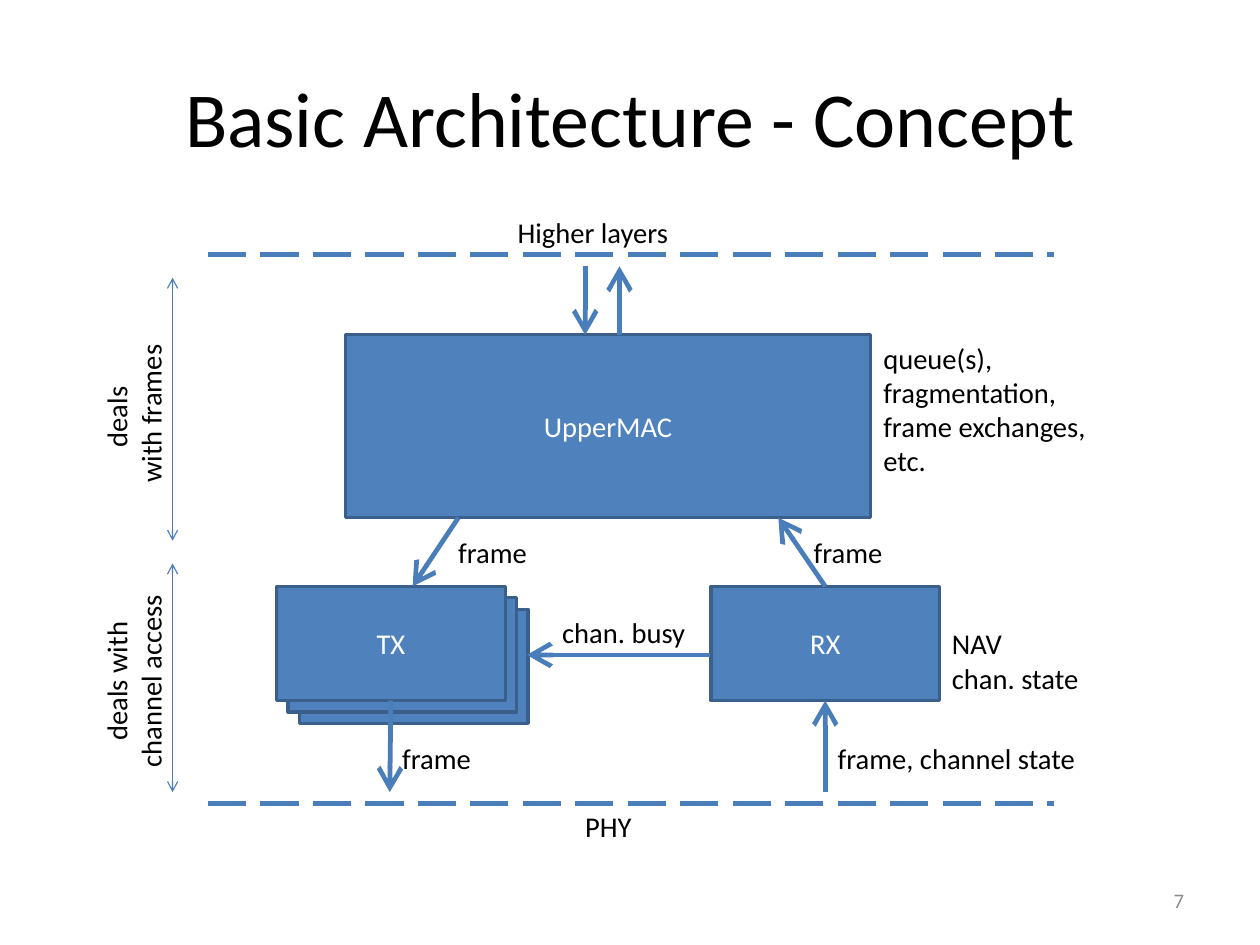
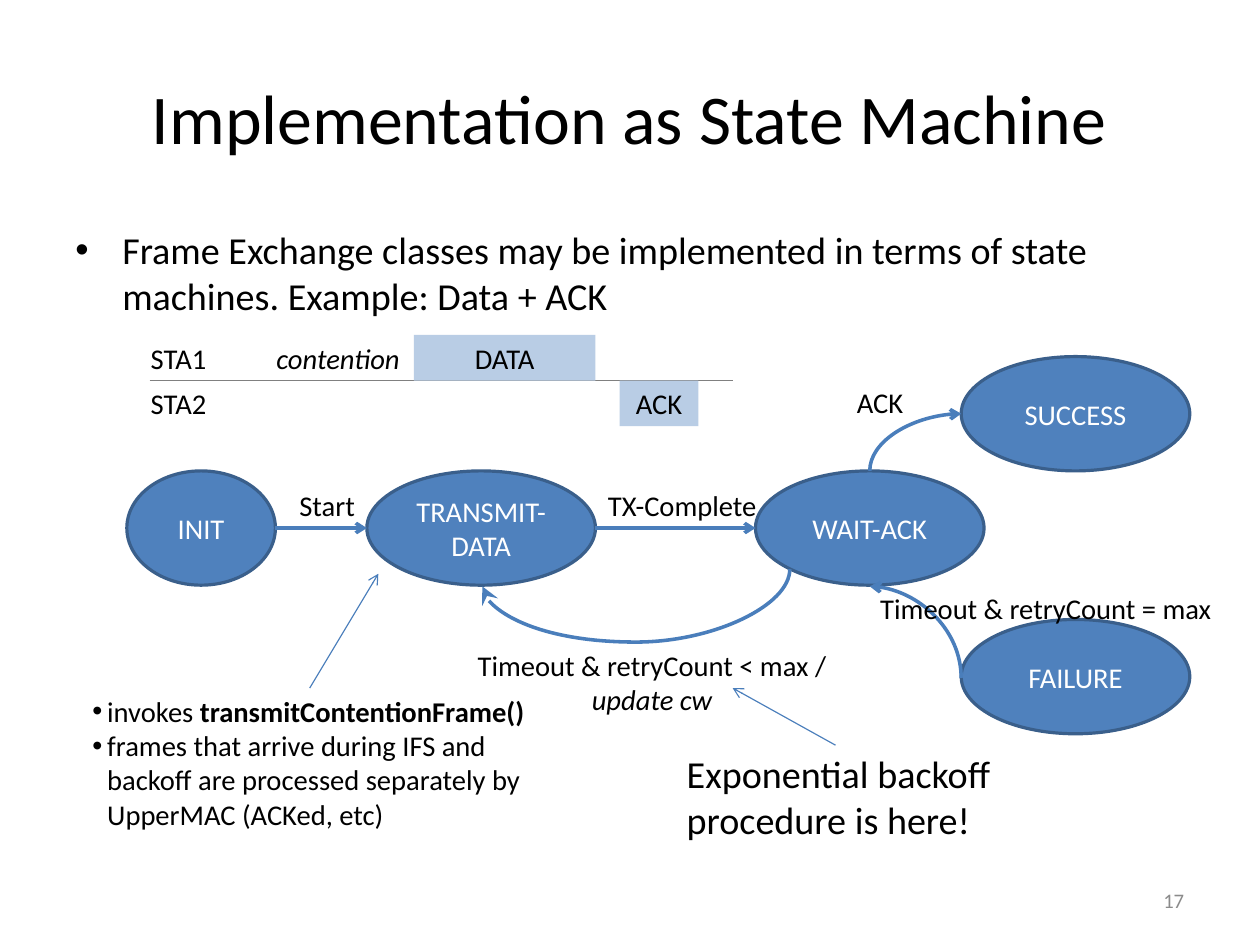
"""Build two slides on a MAC architecture and its state machine."""
from lxml.etree import SubElement
from pptx import Presentation
from pptx.dml.color import RGBColor
from pptx.enum.dml import MSO_LINE
from pptx.enum.shapes import MSO_CONNECTOR, MSO_SHAPE
from pptx.enum.text import MSO_ANCHOR, MSO_AUTO_SIZE, PP_ALIGN
from pptx.oxml.ns import qn
from pptx.util import Inches, Pt

FONT, BLACK, WHITE, GREY = "Calibri", "000000", "FFFFFF", "8B8B8B"
BLUE, OUTLINE, ARROW, PALE, AXIS = "4F81BD", "3A5F8B", "4A7EBB", "B9CDE5", "808080"
CENTER, RIGHT = PP_ALIGN.CENTER, PP_ALIGN.RIGHT


def place(slide, text, box, preset=None, fill=BLUE, outline=OUTLINE, color=BLACK,
          size=18, align=None, wrap=False, italic=None):
    """Add a text box, or a filled shape when a preset is given."""
    lengths = [Inches(value) for value in box]
    if preset is None:
        shape = slide.shapes.add_textbox(*lengths)
        shape.text_frame.auto_size = MSO_AUTO_SIZE.SHAPE_TO_FIT_TEXT
    else:
        shape = slide.shapes.add_shape(preset, *lengths)
        shape.shadow.inherit = False
        shape.fill.solid()
        shape.fill.fore_color.rgb = RGBColor.from_string(fill)
        if outline:
            shape.line.color.rgb = RGBColor.from_string(outline)
            shape.line.width = Pt(2)
        else:
            shape.line.fill.background()
        align, wrap = CENTER, True
    shape.text_frame.word_wrap = wrap
    shape.text_frame.text = text
    for paragraph in shape.text_frame.paragraphs:
        paragraph.alignment = align
        paragraph.font.name = FONT
        paragraph.font.size = Pt(size)
        paragraph.font.italic = italic
        paragraph.font.color.rgb = RGBColor.from_string(color)
    return shape


def connect(slide, ends, width=3, color=ARROW, head=None, tail="arrow", tip="lg",
            kind=MSO_CONNECTOR.STRAIGHT):
    """Add a connector without shadow, with the given arrowheads."""
    connector = slide.shapes.add_connector(kind, *[Inches(value) for value in ends])
    connector.line.color.rgb = RGBColor.from_string(color)
    connector.line.width = Pt(width)
    for tag, arrowhead in (("a:headEnd", head), ("a:tailEnd", tail)):
        if arrowhead:
            SubElement(connector.line._get_or_add_ln(), qn(tag),
                       type=arrowhead, w=tip, len=tip)
    SubElement(connector._element.spPr, qn("a:effectLst"))
    return connector


prs = Presentation()
prs.slide_width = Inches(28 / 2.54)
prs.slide_height = Inches(21 / 2.54)

slides = []
for layout, heading, heading_size, number in (
    (5, "Basic Architecture - Concept", 49, "7"),
    (1, "Implementation as State Machine", 44, "17"),
):
    slide = prs.slides.add_slide(prs.slide_layouts[layout])
    title = slide.shapes.title
    title.left, title.top, title.width, title.height = [
        Inches(value) for value in (0.55, 0.33, 9.92, 1.38)]
    title.text_frame.text = heading
    title.text_frame.auto_size = MSO_AUTO_SIZE.NONE
    title.text_frame.vertical_anchor = MSO_ANCHOR.MIDDLE
    heading_line = title.text_frame.paragraphs[0]
    heading_line.alignment = CENTER
    heading_line.font.name = FONT
    heading_line.font.size = Pt(heading_size)
    heading_line.font.color.rgb = RGBColor.from_string(BLACK)
    page_number = place(slide, number, (7.9, 7.66, 2.57, 0.44), color=GREY, size=13,
                        align=RIGHT, wrap=True)
    page_number.text_frame.auto_size = MSO_AUTO_SIZE.NONE
    page_number.text_frame.vertical_anchor = MSO_ANCHOR.MIDDLE
    page_number.text_frame.margin_right = Inches(0.11)
    slides.append(slide)
architecture, machine = slides

for offset, label in ((0.2, ""), (0.1, ""), (0, "TX")):
    tx = place(architecture, label, (2.42 + offset, 5.13 + offset, 2, 1),
               MSO_SHAPE.RECTANGLE, color=WHITE)
rx = place(architecture, "RX", (6.22, 5.13, 2, 1), MSO_SHAPE.RECTANGLE, color=WHITE)
place(architecture, "UpperMAC", (3.02, 2.93, 4.6, 1.6), MSO_SHAPE.RECTANGLE, color=WHITE)

for boundary in (2.23, 7.03):
    border = connect(architecture, (1.82, boundary, 9.22, boundary), tail=None)
    border.line.dash_style = MSO_LINE.LONG_DASH

for ends in (
    (6.21, 5.73, 4.61, 5.73),
    (4.01, 4.53, 3.61, 5.13),
    (5.42, 2.93, 5.42, 2.33),
    (5.12, 2.33, 5.12, 2.93),
):
    connect(architecture, ends)
connect(architecture, (7.22, 5.13, 6.81, 4.53)).begin_connect(rx, 0)
connect(architecture, (3.42, 6.13, 3.41, 6.93)).begin_connect(tx, 2)
connect(architecture, (7.22, 6.93, 7.22, 6.13)).end_connect(rx, 2)

for label, box in (
    ("PHY", (5.02, 7.03, 0.61, 0.4)),
    ("Higher layers", (4.43, 1.83, 1.52, 0.4)),
    ("NAV\vchan. state", (8.23, 5.43, 1.31, 0.7)),
    ("frame, channel state", (7.23, 6.43, 2.28, 0.4)),
    ("frame", (3.42, 6.43, 0.8, 0.4)),
    ("frame", (3.91, 4.63, 0.8, 0.4)),
    ("frame", (7.02, 4.63, 0.8, 0.4)),
    ("chan. busy", (4.82, 5.33, 1.28, 0.4)),
    ("queue(s),\nfragmentation,\nframe exchanges,\netc.", (7.63, 2.93, 1.97, 1.6)),
):
    place(architecture, label, box)

for label, box, top, bottom in (
    ("deals \vwith frames", (0.46, 3.27, 1.41, 0.7), 2.43, 4.73),
    ("deals with\vchannel access", (0.31, 5.61, 1.71, 0.7), 4.93, 6.93),
):
    connect(architecture, (1.51, top, 1.51, bottom), 0.75, head="arrow", tip="med")
    place(architecture, label, box, align=CENTER).rotation = 270

intro = machine.placeholders[1]
intro.left, intro.top, intro.width, intro.height = [
    Inches(value) for value in (0.55, 1.93, 9.92, 1.3)]
intro.text_frame.text = ("Frame Exchange classes may be implemented in terms of state "
                         "machines. Example: Data + ACK")
intro.text_frame.auto_size = MSO_AUTO_SIZE.NONE
intro.text_frame.margin_left = intro.text_frame.margin_right = Inches(0.11)
intro_line = intro.text_frame.paragraphs[0]
intro_line.space_before = Pt(4.8)
intro_line.font.name = FONT
intro_line.font.size = Pt(24)
intro_line.font.color.rgb = RGBColor.from_string(BLACK)

remarks = place(machine, "invokes \nframes that arrive during IFS and backoff are processed "
                "separately by UpperMAC (ACKed, etc)", (0.71, 6.02, 4, 1.3), wrap=True)
call = remarks.text_frame.paragraphs[0].add_run()
call.text = "transmitContentionFrame()"
call.font.bold = True

for paragraph, indent in ((intro_line, 0.41),
                          *((remark, 0.13) for remark in remarks.text_frame.paragraphs)):
    properties = paragraph._p.get_or_add_pPr()
    properties.set("marL", str(Inches(indent)))
    properties.set("indent", str(-Inches(indent)))
    for tag, attributes in (("a:buFont", {"typeface": "Arial"}), ("a:buChar", {"char": "•"})):
        bullet = properties.makeelement(qn(tag), attributes)
        properties.find(qn("a:defRPr")).addprevious(bullet)

place(machine, "Exponential backoff procedure is here!", (5.91, 6.52, 3.4, 0.9),
      size=24, wrap=True)

for state, left, top, width in (
    ("INIT", 1.11, 4.12, 1.3),
    ("TRANSMIT-\vDATA", 3.21, 4.12, 2),
    ("WAIT-ACK", 6.61, 4.12, 2),
    ("SUCCESS", 8.41, 3.12, 2),
    ("FAILURE", 8.41, 5.42, 2),
):
    place(machine, state, (left, top, width, 1), MSO_SHAPE.OVAL, color=WHITE)

for ends, width in (
    ((2.41, 4.62, 3.21, 4.62), 2.25),
    ((5.21, 4.62, 6.61, 4.62), 2.25),
    ((2.71, 6.02, 3.31, 5.02), 0.75),
    ((7.31, 6.52, 6.41, 6.02), 0.75),
):
    connect(machine, ends, width, tip="med")

for left, top, width, height, flips, preset, bend, tail, tip in (
    (7.76, 3.47, 0.5, 0.8, ("flipH", "flipV"), "curvedConnector2", None, "arrow", "med"),
    (7.61, 5.13, 0.8, 0.8, ("flipH",), "curvedConnector2", None, "arrow", "med"),
    (5.49, 3.71, 0.15, 2.69, (), "curvedConnector3", 425000, "stealth", "lg"),
):
    transition = connect(machine, (left, top, left + width, top + height), 2.25,
                         tail=tail, tip=tip, kind=MSO_CONNECTOR.CURVE)
    frame = transition._element.spPr.find(qn("a:xfrm"))
    frame.set("rot", str(90 * 60000))
    for flip in flips:
        frame.set(flip, "1")
    geometry = transition._element.spPr.find(qn("a:prstGeom"))
    geometry.set("prst", preset)
    if bend:
        SubElement(geometry.find(qn("a:avLst")), qn("a:gd"), name="adj1", fmla=f"val {bend}")

connect(machine, (1.31, 3.33, 6.41, 3.33), 1, AXIS, tail=None)
for label, box in (("DATA", (3.62, 2.93, 1.59, 0.4)), ("ACK", (5.42, 3.33, 0.69, 0.4))):
    place(machine, label, box, MSO_SHAPE.RECTANGLE, fill=PALE, outline=None)

for label, box, align in (
    ("STA1", (1.22, 2.93, 0.72, 0.4), None),
    ("STA2", (1.22, 3.33, 0.72, 0.4), None),
    ("Start", (2.52, 4.22, 0.72, 0.4), None),
    ("TX-Complete", (5.22, 4.22, 1.52, 0.4), None),
    ("Timeout & retryCount = max", (7.59, 5.12, 3.12, 0.4), CENTER),
    ("ACK", (7.38, 3.32, 0.64, 0.4), CENTER),
):
    place(machine, label, box, align=align)
place(machine, "contention", (2.32, 2.93, 1.3, 0.4), italic=True)
retry = place(machine, "Timeout & retryCount < max /\nupdate cw", (4.08, 5.62, 3.25, 0.7),
              align=CENTER)
retry.text_frame.paragraphs[1].font.italic = True

prs.save("out.pptx")
